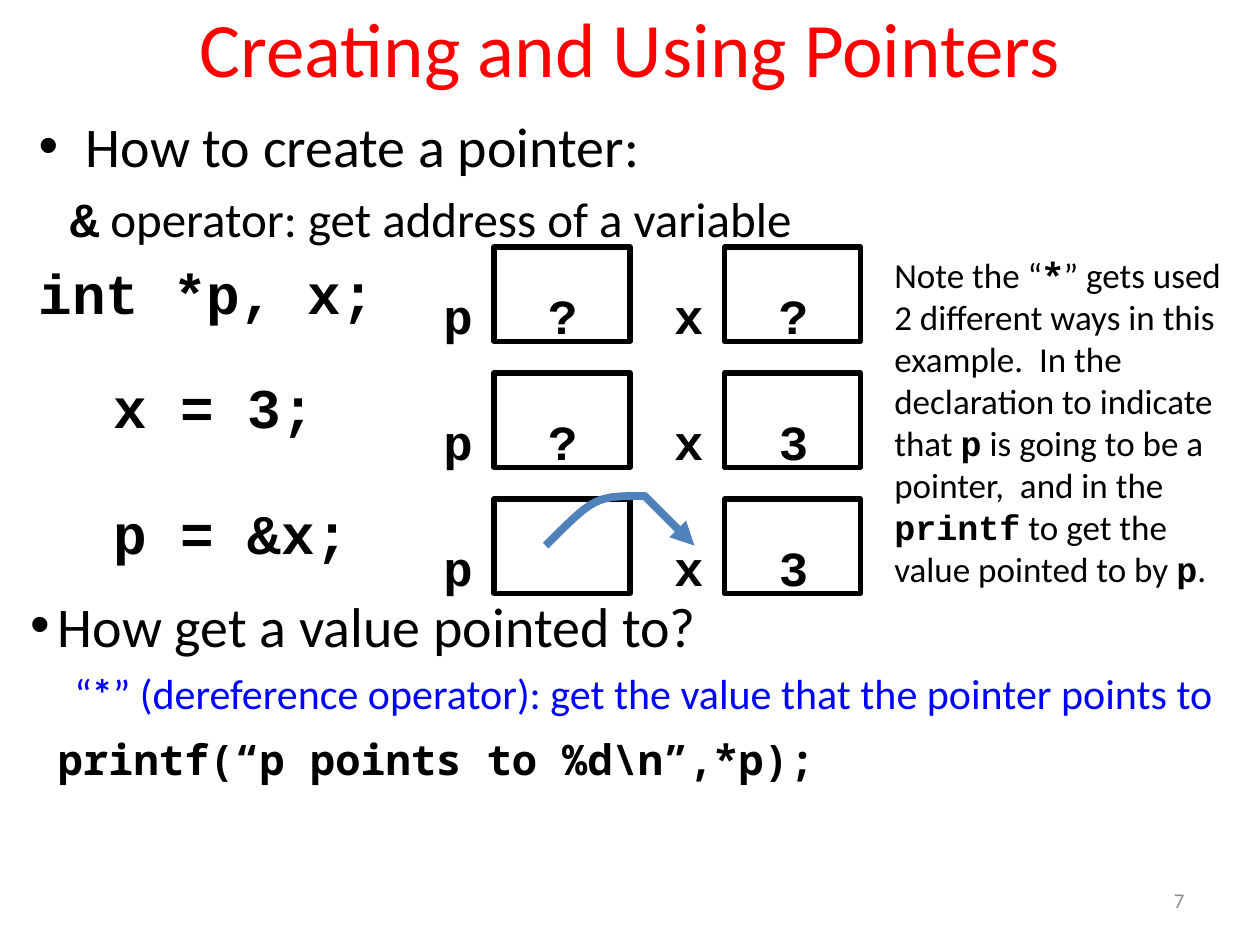
from lxml.etree import SubElement
from pptx import Presentation
from pptx.dml.color import RGBColor
from pptx.enum.shapes import MSO_SHAPE
from pptx.enum.text import MSO_ANCHOR, MSO_AUTO_SIZE, PP_ALIGN
from pptx.oxml.ns import qn
from pptx.util import Cm, Pt

BODY, CODE, MONO = "Calibri", "Courier New", "Noto Sans Mono"
BLACK, RED, BLUE, GREY, ARROW = "000000", "FF0000", "0000FF", "8C8C8C", "4F81BD"
TIGHT = (0.18, 0.08)
ROW_TOP, ROW_PITCH = 4.98, 2.54
# Left edge of each variable's label, and its value in each memory state
LABEL_LEFT = {"p": 8.69, "x": 13.34}
STATES = [
    (None, {"p": "?", "x": "?"}),
    ("x = 3;", {"p": "?", "x": "3"}),
    ("p = &x;", {"p": None, "x": "3"}),
]


def color(hex_string):
    return RGBColor.from_string(hex_string)


def add_text_box(slide, left, top, width, height, wrap=True, grow=False,
                 insets=(0.25, 0.13), anchor=MSO_ANCHOR.TOP):
    frame = slide.shapes.add_textbox(
        Cm(left), Cm(top), Cm(width), Cm(height)).text_frame
    frame.word_wrap = wrap
    frame.auto_size = MSO_AUTO_SIZE.SHAPE_TO_FIT_TEXT if grow else MSO_AUTO_SIZE.NONE
    frame.margin_left = frame.margin_right = Cm(insets[0])
    frame.margin_top = frame.margin_bottom = Cm(insets[1])
    frame.vertical_anchor = anchor
    return frame


def add_paragraph(frame, content, size, font=BODY, hex_color=BLACK, bold=False,
                  align=None, margin=0, indent=0, before=0, spacing=None, bullet=False):
    """Content is a string, or a list of (text, font, bold) runs."""
    first = frame.paragraphs[0]
    paragraph = frame.add_paragraph() if first.runs else first
    properties = paragraph._p.get_or_add_pPr()
    properties.set("marL", str(Cm(margin)))
    properties.set("indent", str(Cm(indent)))
    if before:
        space = SubElement(properties, qn("a:spcBef"))
        SubElement(space, qn("a:spcPct")).set("val", str(before * 1000))
    if bullet:
        SubElement(properties, qn("a:buFont")).set("typeface", "Arial")
        SubElement(properties, qn("a:buChar")).set("char", "•")
    if spacing:
        paragraph.line_spacing = spacing
    if align is not None:
        paragraph.alignment = align
    paragraph.font.size = Pt(size)
    paragraph.font.color.rgb = color(hex_color)
    if isinstance(content, str):
        paragraph.add_run().text = content
        paragraph.font.name, paragraph.font.bold = font, bold
        return
    for text, run_font, run_bold in content:
        run = paragraph.add_run()
        run.text = text
        run.font.name, run.font.bold = run_font, run_bold


def add_letter(slide, letter, left, top):
    frame = add_text_box(slide, left, top, 1.09, 1.45, wrap=False, grow=True)
    add_paragraph(frame, letter, 28, CODE, bold=True)


def add_variable(slide, name, value, top):
    left = LABEL_LEFT[name]
    cell = slide.shapes.add_shape(
        MSO_SHAPE.RECTANGLE, Cm(left + 1.27), Cm(top), Cm(2.74), Cm(1.9))
    cell.shadow.inherit = False
    cell.fill.background()
    cell.line.color.rgb = color(BLACK)
    cell.line.width = Pt(3)
    add_letter(slide, name, left, top + 0.64)
    if value:
        add_letter(slide, value, left + 2.11, top + 0.64)


def add_state(slide, statement, values, top):
    if statement:
        frame = add_text_box(slide, 2.11, top + 0.23, 5.28, 1.22, grow=True, insets=TIGHT)
        add_paragraph(frame, statement, 32, CODE, bold=True, margin=0.56,
                      indent=-0.56, before=65, spacing=0.75)
    for name, value in values.items():
        add_variable(slide, name, value, top)


def add_curved_arrow(slide, start, points):
    """Points come in threes: two control points and an end point."""
    builder = slide.shapes.build_freeform(*start, scale=Cm(1))
    builder.add_line_segments(points, close=False)
    arrow = builder.convert_to_shape()
    arrow.shadow.inherit = False
    arrow.fill.background()
    arrow.line.color.rgb = color(ARROW)
    arrow.line.width = Pt(4.5)
    SubElement(arrow.line._get_or_add_ln(), qn("a:tailEnd")).set("type", "triangle")
    # Turn each three line segments into one Bezier curve
    segments = list(arrow._element.iter(qn("a:lnTo")))
    outline = segments[0].getparent()
    for index in range(0, len(segments), 3):
        curve = SubElement(outline, qn("a:cubicBezTo"))
        for segment in segments[index:index + 3]:
            curve.append(segment[0])
            outline.remove(segment)


def add_heading_texts(slide):
    title = add_text_box(slide, 1.27, -0.64, 22.86, 3.18, anchor=MSO_ANCHOR.MIDDLE)
    add_paragraph(title, "Creating and Using Pointers", 44, hex_color=RED,
                  align=PP_ALIGN.CENTER)
    number = add_text_box(slide, 18.2, 17.65, 5.93, 1.01, anchor=MSO_ANCHOR.MIDDLE)
    add_paragraph(number, "7", 12, hex_color=GREY, align=PP_ALIGN.RIGHT)

    body = add_text_box(slide, 0.53, 2.11, 24.13, 4.55)
    add_paragraph(body, "How to create a pointer:", 32, margin=0.95, indent=-0.95,
                  before=20, bullet=True)
    add_paragraph(body, [("&", CODE, True),
                         (" operator: get address of a variable", BODY, False)],
                  28, margin=1.42, indent=-0.79, before=20)
    add_paragraph(body, "int *p, x;", 32, CODE, bold=True, margin=0.95,
                  indent=-0.95, before=20)


def add_dereference_text(slide):
    frame = add_text_box(slide, 0.43, 12.17, 24.77, 3.94, grow=True, insets=TIGHT)
    add_paragraph(frame, "How get a value pointed to?", 32, margin=0.56,
                  indent=-0.56, before=65, spacing=0.75, bullet=True)
    add_paragraph(frame, [
        ("“", BODY, False), ("*", BODY, True),
        ("” (dereference operator): get the value that the pointer points to", BODY, False),
    ], 24, hex_color=BLUE, margin=1.42, indent=-0.53, before=40, spacing=0.85)
    add_paragraph(frame, "printf(“p points to %d\\n”,*p);", 24, MONO, bold=True,
                  margin=0.56, before=65, spacing=0.75)


def add_note(slide):
    frame = add_text_box(slide, 17.78, 4.98, 7.42, 7.04, grow=True)
    add_paragraph(frame, [
        ("Note the “", BODY, False), ("*", MONO, True),
        ("” gets used 2 different ways in this example.  In the  declaration "
         "to indicate that ", BODY, False),
        ("p", CODE, True),
        (" is going to be a pointer,  and in the ", BODY, False),
        ("printf", CODE, True),
        (" to get the value pointed to by ", BODY, False),
        ("p", CODE, True), (".", BODY, False),
    ], 20)


def main():
    presentation = Presentation()
    presentation.slide_width, presentation.slide_height = Cm(25.4), Cm(19.05)
    slide = presentation.slides.add_slide(presentation.slide_layouts[6])

    add_heading_texts(slide)
    # Memory states, one row each
    for row, (statement, values) in enumerate(STATES):
        add_state(slide, statement, values, ROW_TOP + row * ROW_PITCH)
    # The pointer from p to x
    add_curved_arrow(slide, (11.23, 10.97), [
        (11.81, 10.41), (12.4, 9.86), (12.9, 9.88),
        (13.44, 9.91), (13.92, 10.52), (14.4, 11.13)])
    add_dereference_text(slide)
    add_note(slide)

    presentation.save("out.pptx")


main()
